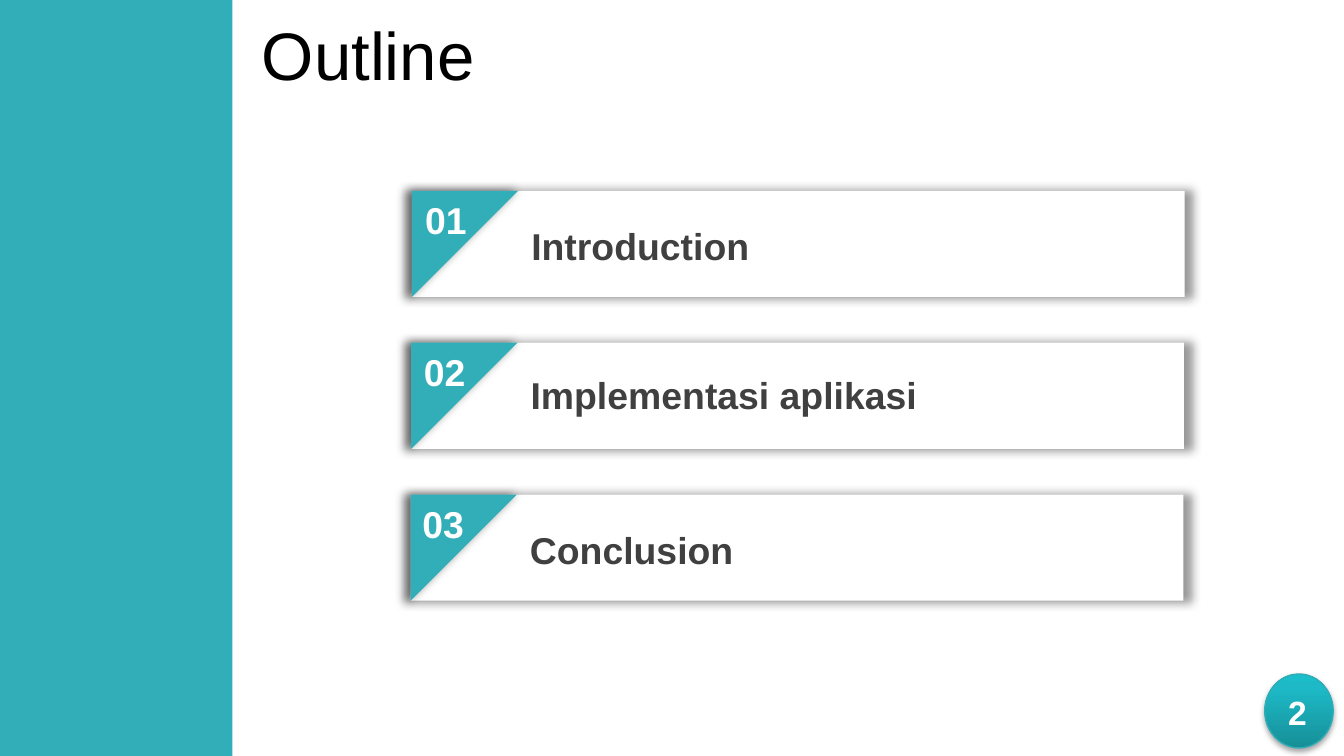
from copy import deepcopy

from lxml import etree
from pptx import Presentation
from pptx.dml.color import RGBColor
from pptx.enum.shapes import MSO_SHAPE
from pptx.enum.text import MSO_ANCHOR, PP_ALIGN
from pptx.oxml.ns import qn
from pptx.util import Pt

PX = 4572
RECTANGLE, TRIANGLE, OVAL = MSO_SHAPE.RECTANGLE, MSO_SHAPE.RIGHT_TRIANGLE, MSO_SHAPE.OVAL
TOP, MIDDLE = MSO_ANCHOR.TOP, MSO_ANCHOR.MIDDLE
LEFT, CENTER = PP_ALIGN.LEFT, PP_ALIGN.CENTER
COLORS = {"teal": "32AEB8", "white": "FFFFFF", "black": "000000", "gray": "404040",
          "badge_line": "2EADB7", "badge_low": "168F98", "badge_mid": "1DB9C6",
          "badge_high": "1ABDCA"}
BADGE_STOPS = [(0, "badge_low"), (0.8, "badge_mid"), (1, "badge_high")]
CARD_SHADOW = {"blurRad": 63500, "sx": 102000, "sy": 102000, "algn": "ctr", "rotWithShape": 0}
BADGE_SHADOW = {"blurRad": 39400, "dist": 22900, "dir": 5400000, "rotWithShape": 0}
HEADING = {"size": Pt(36), "bold": False}
LABEL = {"size": Pt(20), "bold": True}
PAGE = {"size": Pt(18), "bold": True}


def rgb(name):
    """Return the palette colour of that name."""
    return RGBColor.from_string(COLORS[name])


def emu(box):
    """Turn a box in px into EMU."""
    return [length * PX for length in box]


def write(frame, words, color, formats, align=LEFT, anchor=TOP):
    """Put one line of formatted text into a frame."""
    frame.word_wrap = True
    frame.vertical_anchor = anchor
    paragraph = frame.paragraphs[0]
    paragraph.alignment = align
    run = paragraph.add_run()
    run.text = words
    run.font.name = "Arial"
    run.font.color.rgb = rgb(color)
    for key, value in formats.items():
        setattr(run.font, key, value)


def add_label(shapes, box, words, color, formats, anchor=TOP):
    """Add a text box with one line."""
    write(shapes.add_textbox(*emu(box)).text_frame, words, color, formats, anchor=anchor)


def add_panel(shapes, preset, box, color):
    """Add a plain filled shape with no outline or shadow."""
    panel = shapes.add_shape(preset, *emu(box))
    panel.fill.solid()
    panel.fill.fore_color.rgb = rgb(color)
    panel.line.fill.background()
    panel.shadow.inherit = False
    return panel


def cast_shadow(shape, settings, opacity):
    """Give a shape a soft black outer shadow."""
    shape.shadow.inherit = False
    effects = shape._element.spPr.find(qn("a:effectLst"))
    shadow = etree.SubElement(effects, qn("a:outerShdw"))
    for key, value in settings.items():
        shadow.set(key, str(value))
    tint = etree.SubElement(shadow, qn("a:srgbClr"), val=COLORS["black"])
    etree.SubElement(tint, qn("a:alpha"), val=str(opacity * 1000))


def add_topic(slide, box, number, topic, number_shift, topic_drop):
    """Draw one numbered outline card in its box."""
    left, top, width, height = box
    shapes = slide.shapes.add_group_shape().shapes
    card = add_panel(shapes, RECTANGLE, box, "white")
    corner = add_panel(shapes, TRIANGLE, (left, top, height, height), "teal")
    corner.rotation = 90
    for part in (card, corner):
        cast_shadow(part, CARD_SHADOW, 40)
    add_label(shapes, (left + number_shift, top, 116, 88), f"{number:02d}", "white", LABEL)
    add_label(shapes, (left + height, top + topic_drop, 960, 88), topic, "gray", LABEL)


def add_page_badge(slide, box, number):
    """Draw the round page number with its vertical gradient."""
    badge = slide.shapes.add_shape(OVAL, *emu(box))
    badge.fill.gradient()
    badge.fill.gradient_angle = 90
    stop_list = badge._element.spPr.find(".//" + qn("a:gsLst"))
    stop_list.append(deepcopy(stop_list[0]))
    for stop, (position, color) in zip(badge.fill.gradient_stops, BADGE_STOPS):
        stop.position = position
        stop.color.rgb = rgb(color)
    badge.line.color.rgb = rgb("badge_line")
    badge.line.width = Pt(0.75)
    cast_shadow(badge, BADGE_SHADOW, 35)
    frame = badge.text_frame
    for side, margin in {"left": 0, "right": 4, "top": 2, "bottom": 0}.items():
        setattr(frame, f"margin_{side}", margin * PX)
    write(frame, str(number), "white", PAGE, CENTER, MIDDLE)


def main():
    """Build the outline slide."""
    deck = Presentation()
    deck.slide_width, deck.slide_height = emu((2000, 1125))
    slide = deck.slides.add_slide(deck.slide_layouts[6])
    add_panel(slide.shapes, RECTANGLE, (0, 0, 346, 1125), "teal")
    add_label(slide.shapes, (370, 17, 1440, 126), "Outline", "black", HEADING, MIDDLE)
    topics = [("Introduction", 613, 0, 38), ("Implementasi aplikasi", 612, -1, 34),
              ("Conclusion", 611, -2, 38)]
    for index, (topic, left, number_shift, topic_drop) in enumerate(topics):
        box = (left, 284 + 226 * index, 1150, 158)
        add_topic(slide, box, index + 1, topic, number_shift, topic_drop)
    add_page_badge(slide, (1882, 1003, 102, 110), 2)
    deck.save("out.pptx")


if __name__ == "__main__":
    main()
